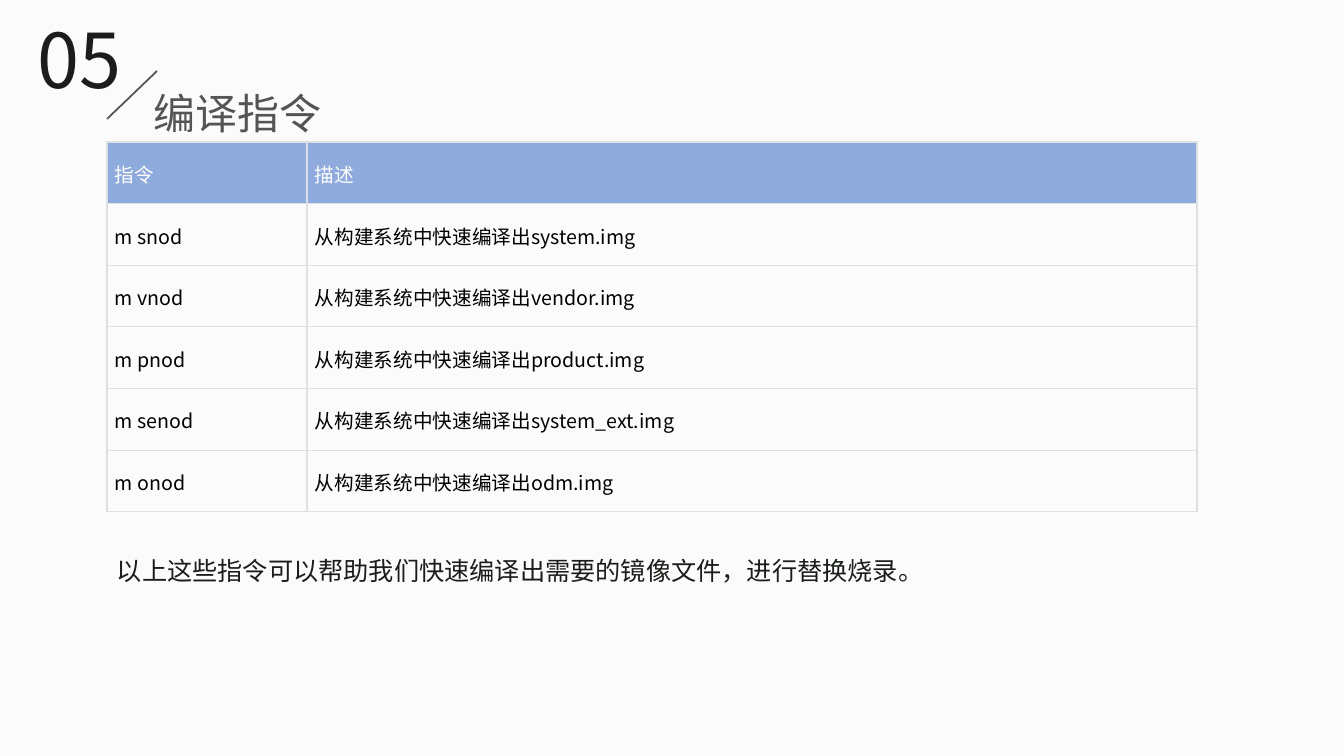
from lxml import etree
from pptx import Presentation
from pptx.dml.color import RGBColor
from pptx.enum.shapes import MSO_CONNECTOR
from pptx.enum.text import MSO_ANCHOR, MSO_AUTO_SIZE, PP_ALIGN
from pptx.oxml.ns import qn
from pptx.util import Pt

WIDE, HIGH = 1344, 756
SCALE = 12192000 / WIDE
FACE = "Noto Sans CJK SC"
INK, GREY, RULE, HEAD = "1A1D1A", "545454", "DEE0E3", "8FAADC"
LINE = MSO_CONNECTOR.STRAIGHT
MIDDLE, FIXED = MSO_ANCHOR.MIDDLE, MSO_AUTO_SIZE.NONE
LEFT, JUSTIFY = PP_ALIGN.LEFT, PP_ALIGN.JUSTIFY

ROWS = [
    ("指令", "描述"),
    ("m snod", "从构建系统中快速编译出system.img"),
    ("m vnod", "从构建系统中快速编译出vendor.img"),
    ("m pnod", "从构建系统中快速编译出product.img"),
    ("m senod", "从构建系统中快速编译出system_ext.img"),
    ("m onod", "从构建系统中快速编译出odm.img"),
]


def px(*sizes):
    return [round(size * SCALE) for size in sizes]


def color(code):
    return RGBColor.from_string(code)


def put(item, values):
    for name, value in values.items():
        setattr(item, name, value)


def write(frame, text, size, ink, **style):
    """Fill the frame's first paragraph with one styled run."""
    para = frame.paragraphs[0]
    put(para, style)
    run = para.add_run()
    run.text = text
    put(run.font, {"size": Pt(size), "name": FACE, "bold": False})
    run.font.color.rgb = color(ink)
    etree.SubElement(run.font._element, qn("a:ea"), typeface=FACE)


def label(slide, box, text, size, ink, **style):
    frame = slide.shapes.add_textbox(*px(*box)).text_frame
    put(frame, {"word_wrap": True, "auto_size": FIXED, "vertical_anchor": MIDDLE})
    write(frame, text, size, ink, **style)


def header(slide, box, number, text):
    """Place the number, the slanted stroke and the title."""
    x, y, w, h = box
    label(slide, (x, y, 115, 102), number, 54, INK, alignment=JUSTIFY)

    stroke = slide.shapes.add_connector(
        LINE, *px(x + 129, y + 64, x + 79, y + 112))
    stroke.line.color.rgb = color(GREY)
    stroke.line.width = Pt(1.25)
    etree.SubElement(stroke._element.spPr, qn("a:effectLst"))

    title = slide.shapes.title
    put(title, dict(zip(("left", "top", "width", "height"),
                        px(x + 115, y + 65, w - 115, h - 65))))
    frame = title.text_frame
    put(frame, {"word_wrap": True, "auto_size": FIXED, "vertical_anchor": MIDDLE})
    write(frame, text, 30, GREY, alignment=LEFT, line_spacing=1.2)


def border(cell):
    props = cell._tc.get_or_add_tcPr()
    for spot, side in enumerate(("lnL", "lnR", "lnT", "lnB")):
        edge = etree.Element(qn("a:" + side), w=str(Pt(1)))
        fill = etree.SubElement(edge, qn("a:solidFill"))
        etree.SubElement(fill, qn("a:srgbClr"), val=RULE)
        props.insert(spot, edge)


def grid(slide, box, rows, first):
    """Draw the table; first is the width of its first column."""
    table = slide.shapes.add_table(len(rows), len(rows[0]), *px(*box)).table
    put(table, {"first_row": False, "horz_banding": False})
    for column, width in zip(table.columns, px(first, box[2] - first)):
        column.width = width
    side, top, base = px(8, 4, 2)
    pads = {"margin_left": side, "margin_right": side, "margin_top": top,
            "margin_bottom": base, "vertical_anchor": MIDDLE}
    for r, row in enumerate(rows):
        table.rows[r].height = px(box[3] / len(rows))[0]
        for c, text in enumerate(row):
            cell = table.cell(r, c)
            put(cell, pads)
            if r:
                cell.fill.background()
            else:
                cell.fill.solid()
                cell.fill.fore_color.rgb = color(HEAD)
            border(cell)
            write(cell.text_frame, text, 14, "000000" if r else "FFFFFF")


def main():
    deck = Presentation()
    deck.slide_width, deck.slide_height = px(WIDE, HIGH)
    slide = deck.slides.add_slide(deck.slide_layouts[5])
    slide.background.fill.solid()
    slide.background.fill.fore_color.rgb = color("FBFBFB")
    header(slide, (28, 7, 1169, 136), "05", "编译指令")
    grid(slide, (107, 142, 1090, 370), ROWS, 200)
    label(slide, (107, 544, 1090, 47),
          "以上这些指令可以帮助我们快速编译出需要的镜像文件，进行替换烧录。",
          18, INK, line_spacing=1.2)
    deck.save("out.pptx")


if __name__ == "__main__":
    main()
